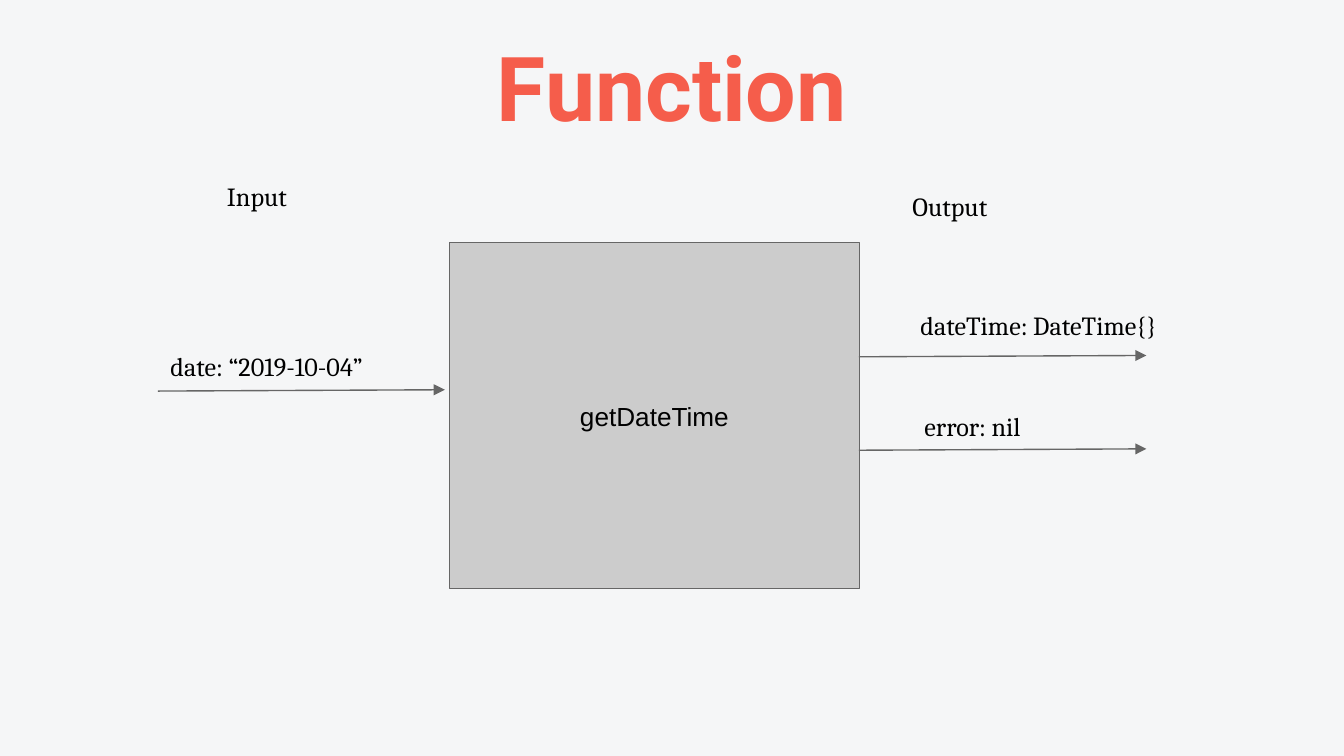
from dataclasses import dataclass

from lxml import etree
from pptx import Presentation
from pptx import util as u
from pptx.dml.color import RGBColor
from pptx.enum import shapes, text
from pptx.oxml.ns import qn
from pptx.slide import Slide
from pptx.text.text import TextFrame

PX = u.Inches(1) // 200  # 200 px to the inch: a 16:9 page of 2000 by 1125 px


@dataclass(frozen=True)
class Theme:
    background: str = "F5F6F7"
    accent: str = "F55D4B"
    box_fill: str = "CCCCCC"
    line: str = "666666"
    ink: str = "000000"
    title_font: str = "Roboto"
    box_font: str = "Arial"
    label_font: str = "Cambria"
    title_size: int = 48
    body_size: int = 14
    line_width: float = 0.75


@dataclass(frozen=True)
class Label:
    words: str
    left: int
    top: int
    width: int
    height: int = 112


@dataclass(frozen=True)
class Arrow:
    left: int
    start_y: int
    right: int
    end_y: int


THEME = Theme()

LABELS = [
    Label("Input", 318, 248, 962),
    Label("Output", 1338, 264, 962),
    Label("date: “2019-10-04”", 234, 502, 484),
    Label("dateTime: DateTime{}", 1350, 440, 504),
    Label("error: nil", 1356, 591, 274),
]

ARROWS = [
    Arrow(235, 582, 662, 580),
    Arrow(1278, 531, 1706, 529),
    Arrow(1278, 670, 1706, 668),
]


def px(*lengths: int) -> list[u.Emu]:
    return [u.Emu(length * PX) for length in lengths]


def color(value: str) -> RGBColor:
    return RGBColor.from_string(value)


def write(frame: TextFrame, words: str, font: str, size: int, ink: str,
          align: text.PP_ALIGN, anchor: text.MSO_ANCHOR,
          inset: int = 20, bold: bool = False) -> None:
    frame.word_wrap = True
    frame.auto_size = text.MSO_AUTO_SIZE.NONE
    frame.vertical_anchor = anchor
    frame.margin_left, frame.margin_top, frame.margin_right, frame.margin_bottom = px(*[inset] * 4)
    para = frame.paragraphs[0]
    para.text = words
    para.alignment = align
    para.font.name = font
    para.font.size = u.Pt(size)
    para.font.bold = bold
    para.font.color.rgb = color(ink)


def draw_title(page: Slide, words: str) -> None:
    title = page.shapes.title
    title.left, title.top, title.width, title.height = px(195, 69, 1610, 147)
    write(title.text_frame, words, THEME.title_font, THEME.title_size, THEME.accent,
          text.PP_ALIGN.CENTER, text.MSO_ANCHOR.BOTTOM, inset=8, bold=True)


def draw_function_box(page: Slide, words: str) -> None:
    box = page.shapes.add_shape(shapes.MSO_SHAPE.RECTANGLE, *px(669, 361, 610, 515))
    box.shadow.inherit = False
    box.fill.solid()
    box.fill.fore_color.rgb = color(THEME.box_fill)
    box.line.color.rgb = color(THEME.line)
    box.line.width = u.Pt(THEME.line_width)
    write(box.text_frame, words, THEME.box_font, THEME.body_size, THEME.ink,
          text.PP_ALIGN.CENTER, text.MSO_ANCHOR.MIDDLE)


def draw_label(page: Slide, label: Label) -> None:
    box = page.shapes.add_textbox(*px(label.left, label.top, label.width, label.height))
    write(box.text_frame, label.words, THEME.label_font, THEME.body_size, THEME.ink,
          text.PP_ALIGN.LEFT, text.MSO_ANCHOR.TOP)


def draw_arrow(page: Slide, arrow: Arrow) -> None:
    connector = page.shapes.add_connector(
        shapes.MSO_CONNECTOR.STRAIGHT,
        *px(arrow.left, arrow.start_y, arrow.right, arrow.end_y))
    connector.line.color.rgb = color(THEME.line)
    connector.line.width = u.Pt(THEME.line_width)
    # Arrowhead at the end, and no shadow
    properties = connector.element.spPr
    etree.SubElement(properties.find(qn("a:ln")), qn("a:tailEnd"),
                     type="triangle", w="med", len="med")
    etree.SubElement(properties, qn("a:effectLst"))


def main() -> None:
    deck = Presentation()
    deck.slide_width, deck.slide_height = px(2000, 1125)
    page = deck.slides.add_slide(deck.slide_layouts.get_by_name("Title Only"))
    page.background.fill.solid()
    page.background.fill.fore_color.rgb = color(THEME.background)

    # Heading and the function itself
    draw_title(page, "Function")
    draw_function_box(page, "getDateTime")

    # Inputs on the left, outputs on the right
    for arrow in ARROWS:
        draw_arrow(page, arrow)
    for label in LABELS:
        draw_label(page, label)

    deck.save("out.pptx")


if __name__ == "__main__":
    main()
